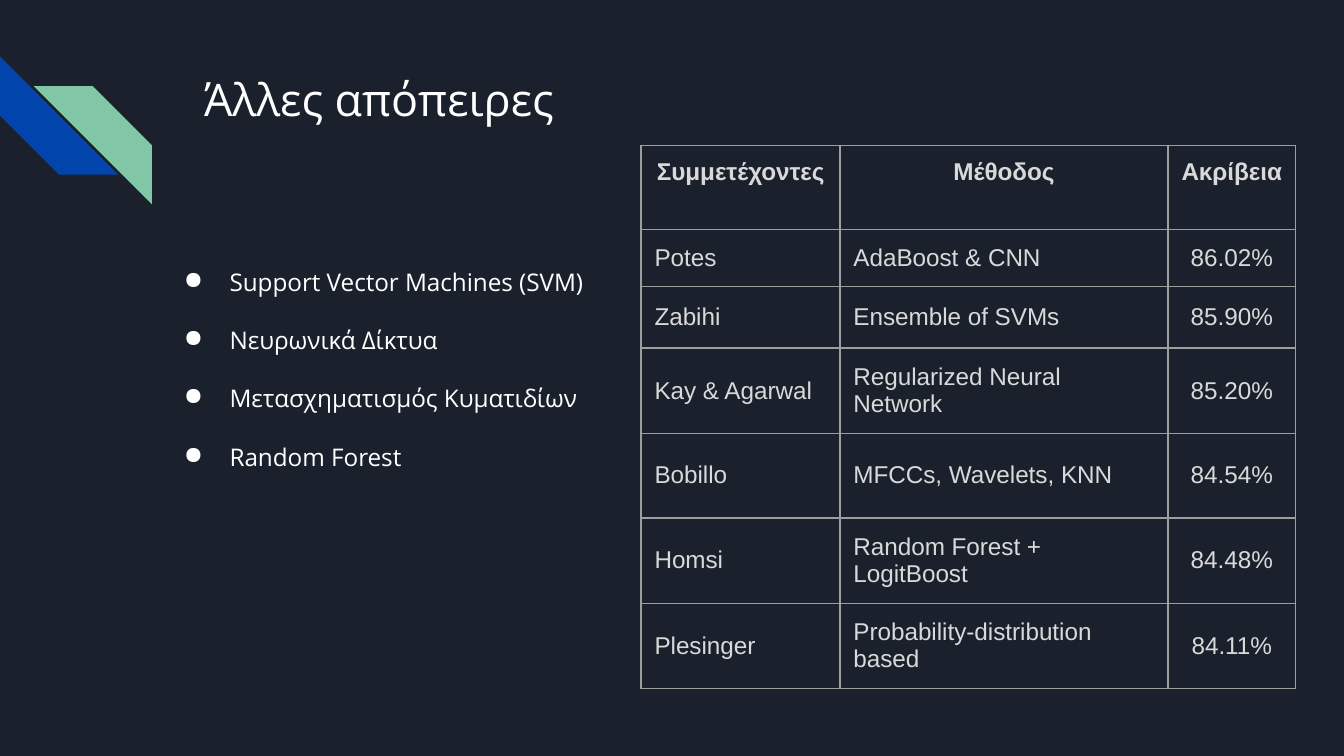
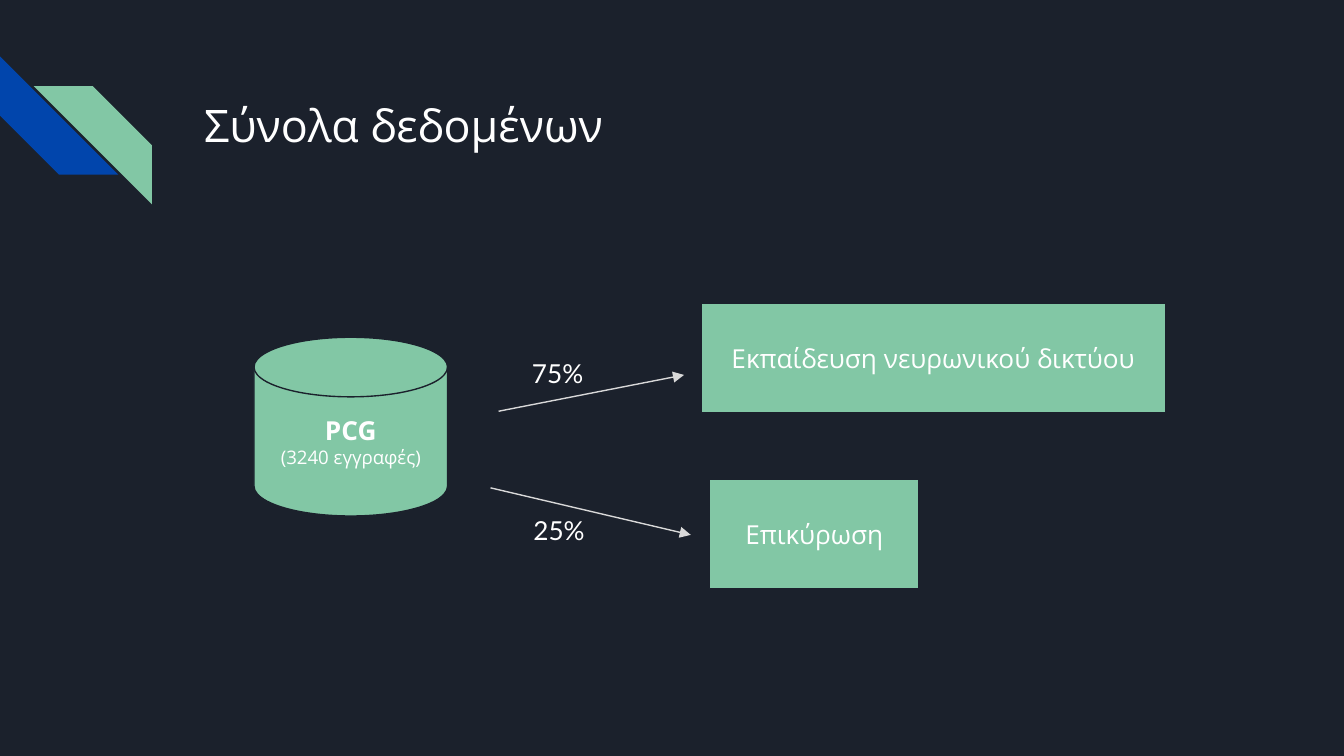
from lxml import etree
from pptx import Presentation
from pptx.dml.color import RGBColor
from pptx.enum.shapes import MSO_CONNECTOR, MSO_SHAPE
from pptx.enum.text import MSO_ANCHOR, MSO_AUTO_SIZE, PP_ALIGN
from pptx.oxml import parse_xml
from pptx.oxml.ns import nsdecls, qn
from pptx.util import Emu, Pt

EMU_PER_PX = 9144  # 100 px to the inch
INSET = 10

NAVY, BLUE, GREEN = "1B212C", "0145AC", "82C7A5"
WHITE, LIGHT_GREY, GREY = "FFFFFF", "D9D9D9", "9E9E9E"
HEADING_FONT, LABEL_FONT, TABLE_FONT = "Open Sans", "Lato", "Arial"

LEFT, CENTER = PP_ALIGN.LEFT, PP_ALIGN.CENTER
TOP, MIDDLE = MSO_ANCHOR.TOP, MSO_ANCHOR.MIDDLE
FIT_SHAPE = MSO_AUTO_SIZE.SHAPE_TO_FIT_TEXT
STRAIGHT = MSO_CONNECTOR.STRAIGHT
STRIPE, RECTANGLE = MSO_SHAPE.DIAGONAL_STRIPE, MSO_SHAPE.RECTANGLE
DISK = MSO_SHAPE.FLOWCHART_MAGNETIC_DISK

METHODS = [
    "Support Vector Machines (SVM)",
    "Νευρωνικά Δίκτυα",
    "Μετασχηματισμός Κυματιδίων",
    "Random Forest",
]
RESULTS = [
    ("Συμμετέχοντες", "Μέθοδος", "Ακρίβεια"),
    ("Potes", "AdaBoost & CNN", "86.02%"),
    ("Zabihi", "Ensemble of SVMs", "85.90%"),
    ("Kay & Agarwal", "Regularized Neural Network", "85.20%"),
    ("Bobillo", "MFCCs, Wavelets, KNN", "84.54%"),
    ("Homsi", "Random Forest + LogitBoost", "84.48%"),
    ("Plesinger", "Probability-distribution based", "84.11%"),
]
COLUMN_WIDTHS = [148, 244, 95]
ROW_HEIGHTS = [63, 42, 46, 63, 63, 63, 63]


def px(length):
    return Emu(length * EMU_PER_PX)


def color(value):
    return RGBColor.from_string(value)


def style_font(para, size, name, ink=WHITE, bold=False):
    font = para.font
    font.size, font.name, font.bold = Pt(size), name, bold
    font.color.rgb = color(ink)


def set_insets(holder):
    """Give a text frame or a table cell the common inset on all sides."""
    holder.margin_left = holder.margin_right = px(INSET)
    holder.margin_top = holder.margin_bottom = px(INSET)


def add_lines(frame, lines, align=LEFT, font=HEADING_FONT):
    """Write (text, size, bold) lines into a frame, one paragraph each."""
    for index, (text, size, bold) in enumerate(lines):
        para = frame.paragraphs[0] if index == 0 else frame.add_paragraph()
        para.text = text
        para.alignment = align
        style_font(para, size, font, bold=bold)


def add_text(slide, at, lines, font=HEADING_FONT):
    box = slide.shapes.add_textbox(*map(px, at))
    frame = box.text_frame
    frame.word_wrap = True
    set_insets(frame)
    add_lines(frame, lines, font=font)
    return frame


def add_label(slide, at, text):
    frame = add_text(slide, at, [(text, 14, False)], LABEL_FONT)
    frame.auto_size = FIT_SHAPE


def add_shape(slide, preset, at, fill):
    shape = slide.shapes.add_shape(preset, *map(px, at))
    shape.shadow.inherit = False
    shape.fill.solid()
    shape.fill.fore_color.rgb = color(fill)
    shape.line.fill.background()
    return shape


def add_node(slide, preset, at, lines):
    node = add_shape(slide, preset, at, GREEN)
    node.line.color.rgb = color(NAVY)
    node.line.width = Pt(0.75)
    frame = node.text_frame
    frame.word_wrap = True
    frame.vertical_anchor = MIDDLE
    set_insets(frame)
    add_lines(frame, lines, CENTER)


def add_arrow(slide, start, end):
    arrow = slide.shapes.add_connector(STRAIGHT, *map(px, start + end))
    arrow.line.color.rgb = color(LIGHT_GREY)
    arrow.line.width = Pt(0.75)
    etree.SubElement(arrow.line._get_or_add_ln(), qn("a:tailEnd"), type="triangle")
    etree.SubElement(arrow._element.spPr, qn("a:effectLst"))


def add_bullets(slide, at, items):
    frame = add_text(slide, at, [(item, 13, False) for item in items])
    for para in frame.paragraphs:
        properties = para._p.get_or_add_pPr()
        properties.set("marL", str(px(50)))
        properties.set("indent", str(px(-34)))
        bullet_color = parse_xml(
            f'<a:buClr {nsdecls("a")}><a:srgbClr val="{WHITE}"/></a:buClr>')
        bullet = parse_xml(f'<a:buChar {nsdecls("a")} char="●"/>')
        properties.insert(0, bullet_color)
        properties.insert(1, bullet)
        para.line_spacing = 2.0


def add_borders(cell):
    properties = cell._tc.get_or_add_tcPr()
    for index, side in enumerate(("lnL", "lnR", "lnT", "lnB")):
        properties.insert(index, parse_xml(
            f'<a:{side} {nsdecls("a")} w="{Pt(0.75)}"><a:solidFill>'
            f'<a:srgbClr val="{GREY}"/></a:solidFill></a:{side}>'))


def add_results_table(slide, left, top):
    size = sum(COLUMN_WIDTHS), sum(ROW_HEIGHTS)
    table = slide.shapes.add_table(
        len(RESULTS), len(COLUMN_WIDTHS), *map(px, (left, top) + size)).table
    table.first_row = table.horz_banding = False
    for column, width in zip(table.columns, COLUMN_WIDTHS):
        column.width = px(width)
    for row, height in zip(table.rows, ROW_HEIGHTS):
        row.height = px(height)
    for row, texts in enumerate(RESULTS):
        header = row == 0
        for column, text in enumerate(texts):
            cell = table.cell(row, column)
            cell.text = text
            cell.fill.background()
            cell.vertical_anchor = TOP if header else MIDDLE
            set_insets(cell)
            add_borders(cell)
            para = cell.text_frame.paragraphs[0]
            para.alignment = CENTER if header or column == 2 else LEFT
            style_font(para, 13, TABLE_FONT, LIGHT_GREY, header)


def add_page(deck, title, title_top, title_height):
    """Add a dark page with the two corner stripes and a title."""
    page = deck.slides.add_slide(deck.slide_layouts[6])
    page.background.fill.solid()
    page.background.fill.fore_color.rgb = color(NAVY)
    add_shape(page, STRIPE, (0, 42, 88, 88), BLUE).rotation = 270
    green_stripe = add_shape(page, STRIPE, (25, 64, 88, 88), GREEN)
    green_stripe._element.spPr.xfrm.set("flipH", "1")
    add_text(page, (142, title_top, 770, title_height), [(title, 24, False)])
    return page


def add_attempts_page(deck):
    page = add_page(deck, "Άλλες απόπειρες", 43, 65)
    add_bullets(page, (111, 167, 375, 318), METHODS)
    add_results_table(page, 477, 108)


def add_datasets_page(deck):
    page = add_page(deck, "Σύνολα δεδομένων", 63, 100)
    add_node(page, DISK, (189, 251, 144, 133),
             [("PCG", 14, True), ("(3240 εγγραφές)", 10, False)])
    add_arrow(page, (371, 306), (509, 279))
    add_arrow(page, (365, 363), (514, 398))
    add_label(page, (386, 256, 95, 44), "75%")
    add_label(page, (387, 373, 75, 44), "25%")
    add_node(page, RECTANGLE, (522, 226, 345, 81),
             [("Εκπαίδευση νευρωνικού δικτύου", 14, False)])
    add_node(page, RECTANGLE, (528, 357, 156, 81), [("Επικύρωση", 14, False)])


def main():
    deck = Presentation()
    deck.slide_width = px(1000)
    deck.slide_height = px(1000) * 9 // 16
    add_attempts_page(deck)
    add_datasets_page(deck)
    deck.save("out.pptx")


if __name__ == "__main__":
    main()
